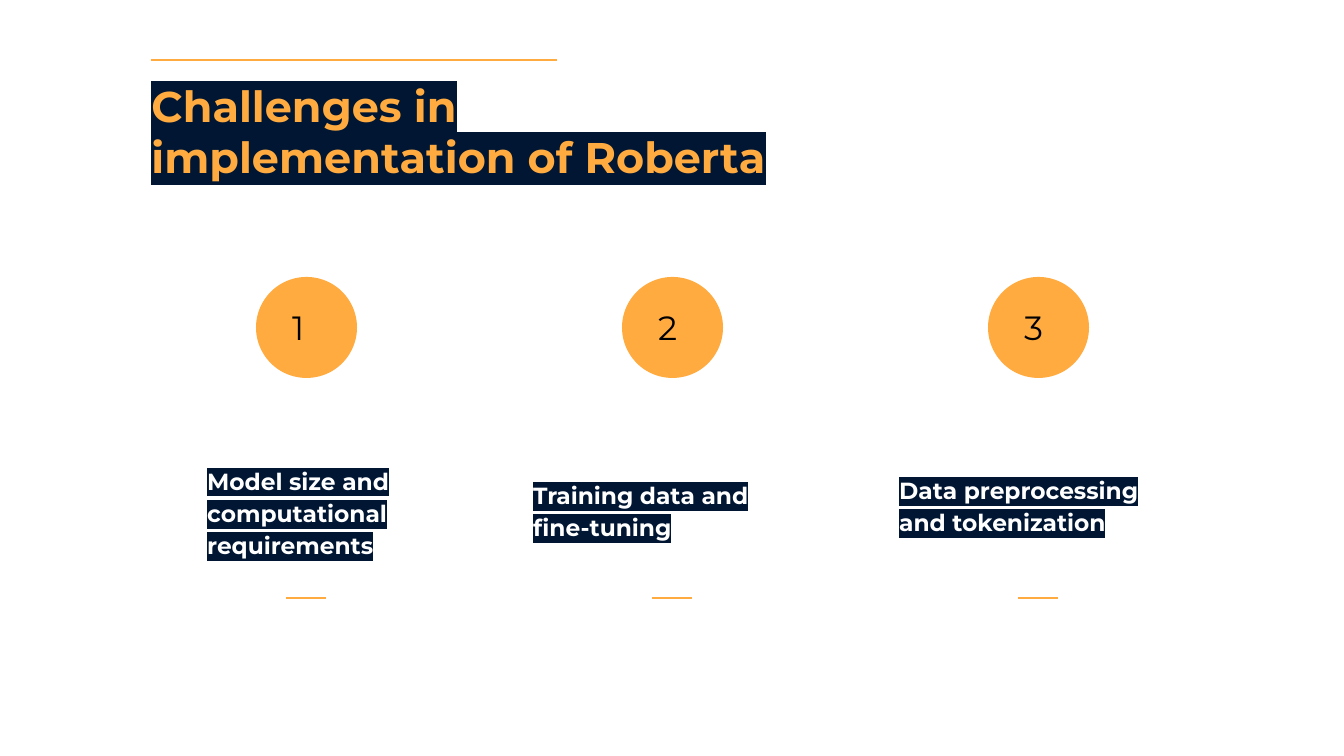
import pptx
import pptx.util
import pptx.dml.color
import pptx.enum.shapes
import pptx.enum.text
import pptx.oxml
import pptx.oxml.ns

SCALE = 914400 / 134.4
FONT = "Montserrat"
COLORS = {"amber": "FFAB40", "navy": "001633", "white": "FFFFFF", "black": "000000"}
ANCHOR = pptx.enum.text.MSO_ANCHOR

# Caption and its box: left, top, width, height
ITEMS = [
    ("Model size and computational requirements", (194, 452, 226, 121)),
    ("Training data and fine-tuning", (520, 469, 304, 86)),
    ("Data preprocessing and tokenization", (886, 469, 304, 81)),
]
FIRST, STEP = 306, 366  # column centres


def px(count):
    return pptx.util.Emu(round(count * SCALE))


def color(name):
    return pptx.dml.color.RGBColor.from_string(COLORS[name])


def mark(run, name):
    """Highlight the text of a run."""
    tag = pptx.oxml.ns.qn
    light = pptx.oxml.parse_xml(
        f'<a:highlight {pptx.oxml.ns.nsdecls("a")}>'
        f'<a:srgbClr val="{COLORS[name]}"/></a:highlight>'
    )
    props = run._r.get_or_add_rPr()
    props.append(light)


def write(shape, text, size, tint, bold=False, anchor=ANCHOR.TOP, lead=1.0, back=None):
    """Fill a box with one left-aligned paragraph."""
    frame = shape.text_frame
    frame.word_wrap = True
    frame.auto_size = pptx.enum.text.MSO_AUTO_SIZE.NONE
    frame.vertical_anchor = anchor
    frame.margin_left = frame.margin_right = pptx.util.Inches(0.1)
    frame.margin_top = frame.margin_bottom = pptx.util.Inches(0.1)
    para = frame.paragraphs[0]
    para.alignment = pptx.enum.text.PP_ALIGN.LEFT
    para.line_spacing = lead
    run = para.add_run()
    run.text = text
    if back:
        mark(run, back)
    font = para.font
    font.name, font.size, font.bold = FONT, pptx.util.Pt(size), bold
    font.color.rgb = color(tint)


def add_title(slide, text):
    title = slide.shapes.title
    title.left, title.top, title.width, title.height = map(px, (138, 66, 680, 136))
    write(title, text, 23, "amber", bold=True, back="navy")


def add_text(slide, box, *args, **style):
    write(slide.shapes.add_textbox(*map(px, box)), *args, **style)


def add_rule(slide, left, right, y):
    kind = pptx.enum.shapes.MSO_CONNECTOR.STRAIGHT
    rule = slide.shapes.add_connector(kind, px(left), px(y), px(right), px(y))
    rule.line.color.rgb = color("amber")
    rule.line.width = pptx.util.Pt(0.75)
    props = rule._element.spPr
    props.append(pptx.oxml.parse_xml(f'<a:effectLst {pptx.oxml.ns.nsdecls("a")}/>'))


def add_badge(slide, mid, number):
    """Draw a disc with its number."""
    kind = pptx.enum.shapes.MSO_SHAPE.OVAL
    disc = slide.shapes.add_shape(kind, px(mid - 50), px(277), px(101), px(101))
    disc.shadow.inherit = False
    disc.fill.solid()
    disc.fill.fore_color.rgb = color("amber")
    disc.line.fill.background()
    add_text(slide, (mid - 27, 294, 56, 67), str(number), 18, "black")


def main():
    deck = pptx.Presentation()
    deck.slide_width, deck.slide_height = px(1344), px(756)
    slide = deck.slides.add_slide(deck.slide_layouts[5])
    add_title(slide, "Challenges in implementation of Roberta")
    add_rule(slide, 151, 557, 60)
    for index, (text, box) in enumerate(ITEMS):
        mid = FIRST + index * STEP
        add_badge(slide, mid, index + 1)
        add_text(slide, box, text, 12.5, "white", bold=True,
                 anchor=ANCHOR.BOTTOM, lead=1.15, back="navy")
        add_rule(slide, mid - 20, mid + 20, 598)
    deck.save("out.pptx")


if __name__ == "__main__":
    main()
